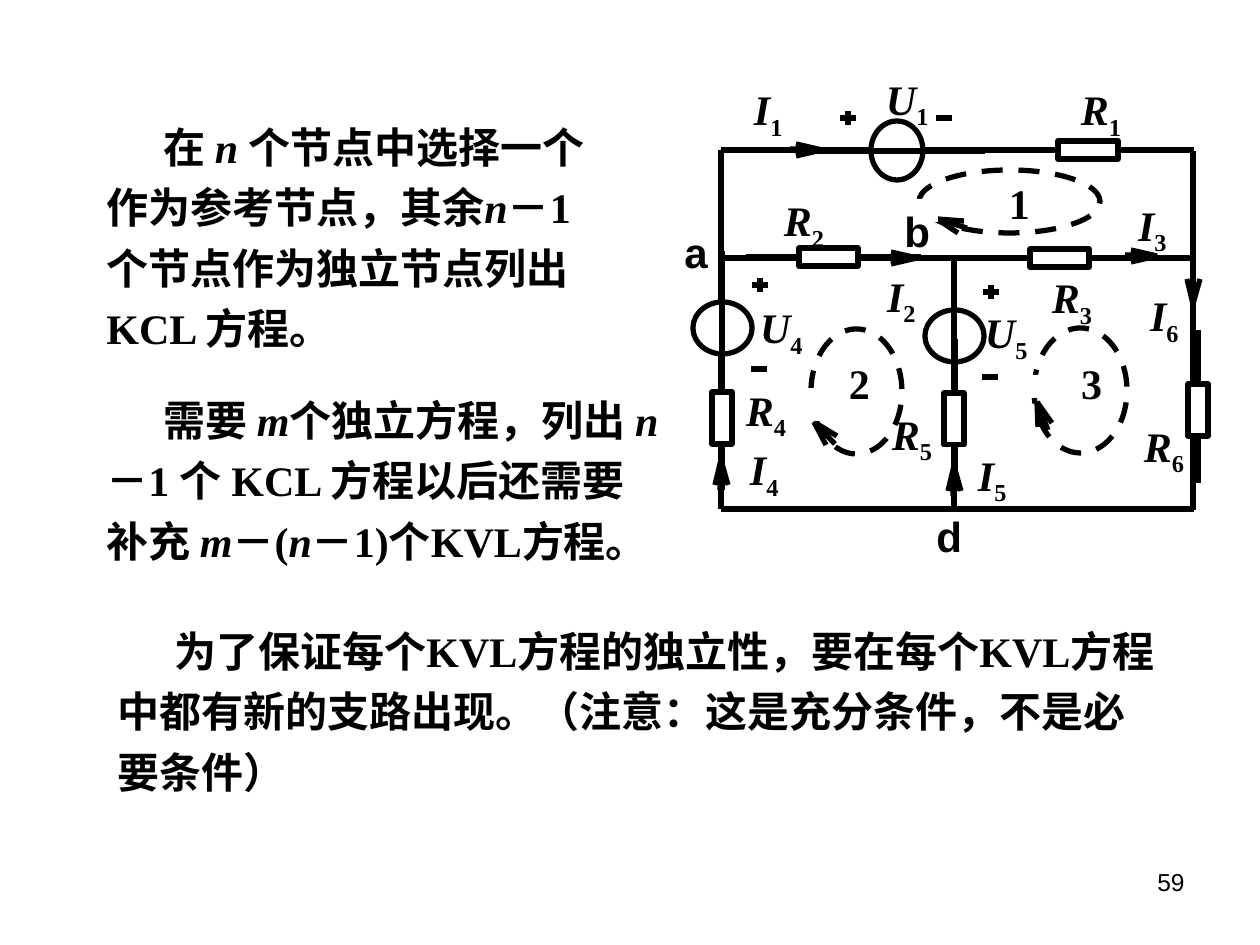
from dataclasses import dataclass

from lxml.etree import SubElement
from pptx import Presentation
from pptx.dml.color import RGBColor
from pptx.enum.dml import MSO_LINE
from pptx.enum.shapes import MSO_CONNECTOR, MSO_SHAPE
from pptx.enum.text import MSO_AUTO_SIZE, PP_ALIGN
from pptx.oxml.ns import qn
from pptx.util import Emu, Pt

EMU_PER_PX = 914400 / 126


def px(length):
    return Emu(round(length * EMU_PER_PX))


@dataclass(frozen=True)
class Theme:
    ink: RGBColor = RGBColor(0, 0, 0)
    paper: RGBColor = RGBColor(255, 255, 255)
    serif: str = "Times New Roman"
    sans: str = "Arial"
    text_size: int = 24
    number_size: int = 14
    stroke: int = 3


class CircuitSlide:
    def __init__(self, slide, theme):
        self.shapes = slide.shapes
        self.theme = theme

    def _stroke(self, line):
        line.color.rgb = self.theme.ink
        line.width = Pt(self.theme.stroke)

    def _add_run(self, paragraph, wording, subscript=False, **changes):
        run = paragraph.add_run()
        run.text = wording
        style = {"name": self.theme.serif, "size": Pt(self.theme.text_size),
                 "bold": True, "italic": False, **changes}
        for key, value in style.items():
            setattr(run.font, key, value)
        run.font.color.rgb = self.theme.ink
        if subscript:
            run.font._element.set("baseline", "-25000")

    def _paragraph(self, box, align=None, tight=False):
        """Add a text box and return its first paragraph; tight drops the insets."""
        frame = self.shapes.add_textbox(*map(px, box)).text_frame
        frame.word_wrap = True
        if tight:
            for side in ("left", "top", "right", "bottom"):
                setattr(frame, f"margin_{side}", 0)
        else:
            frame.auto_size = MSO_AUTO_SIZE.SHAPE_TO_FIT_TEXT
        paragraph = frame.paragraphs[0]
        paragraph.alignment = align
        return paragraph

    def prose(self, box, *pieces):
        """Add an indented paragraph whose pieces alternate upright and italic."""
        paragraph = self._paragraph(box)
        paragraph.line_spacing = 1.2
        paragraph._p.get_or_add_pPr().set("indent", str(px(57)))
        for index, piece in enumerate(pieces):
            self._add_run(paragraph, piece, italic=index % 2 == 1)

    def quantity(self, symbol, subscript, box):
        paragraph = self._paragraph(box, PP_ALIGN.JUSTIFY, tight=True)
        self._add_run(paragraph, symbol, italic=True)
        self._add_run(paragraph, subscript, subscript=True)

    def loop_number(self, number, box):
        self._add_run(self._paragraph(box, PP_ALIGN.JUSTIFY, tight=True), number)

    def node(self, name, box):
        self._add_run(self._paragraph(box), name, name=self.theme.sans)

    def page_number(self, number, box):
        self._add_run(self._paragraph(box, PP_ALIGN.RIGHT), number, bold=False,
                      name=self.theme.sans, size=Pt(self.theme.number_size))

    def wire(self, x1, y1, x2, y2):
        line = self.shapes.add_connector(MSO_CONNECTOR.STRAIGHT, *map(px, (x1, y1, x2, y2)))
        self._stroke(line.line)
        SubElement(line._element.spPr, qn("a:effectLst"))

    def _outline(self, kind, box, filled=True):
        shape = self.shapes.add_shape(kind, *map(px, box))
        shape.shadow.inherit = False
        if filled:
            shape.fill.solid()
            shape.fill.fore_color.rgb = self.theme.paper
        else:
            shape.fill.background()
        self._stroke(shape.line)
        return shape

    def resistor(self, box):
        self._outline(MSO_SHAPE.RECTANGLE, box)

    def source(self, box):
        self._outline(MSO_SHAPE.OVAL, box)

    def loop(self, box):
        self._outline(MSO_SHAPE.OVAL, box, filled=False).line.dash_style = MSO_LINE.DASH

    def loop_gap(self, box):
        """Blank out a stretch of a dashed loop so that it reads as open."""
        self._outline(MSO_SHAPE.RECTANGLE, box).line.fill.background()

    def polarity(self, plus, minus):
        for x, y in (plus, minus):
            self.wire(x - 8, y, x + 8, y)
        x, y = plus
        self.wire(x, y - 7, x, y + 7)

    def arrow(self, tip, barbs):
        x, y = tip
        for dx, dy in barbs:
            self.wire(x, y, x + dx, y + dy)


RIGHT = [(-26, -6), (-26, 6), (-32, -1)]
UP = [(-6, 25), (7, 25), (-1, 30)]
DOWN = [(-6, -25), (7, -25), (0, -30)]

WIRES = [
    (721, 150, 1194, 150), (721, 150, 721, 509), (1193, 151, 1193, 510),
    (721, 509, 1194, 509), (721, 258, 1194, 258), (954, 257, 954, 509),
    (968, 258, 1142, 258), (921, 257, 746, 257), (1181, 150, 1005, 150),
    (1198, 330, 1198, 483),
]
SOURCES = [(871, 121, 52, 59), (925, 310, 59, 52), (693, 302, 59, 52)]
SOURCE_WIRES = [
    (809, 151, 985, 151), (954, 258, 954, 412), (722, 251, 722, 404),
    (955, 339, 955, 491), (722, 338, 722, 490),
]
POLARITIES = [((848, 118), (944, 118)), ((991, 292), (990, 377)), ((760, 285), (759, 369))]
RESISTORS = [
    (1058, 141, 60, 18), (799, 248, 59, 18), (1030, 249, 59, 18),
    (712, 392, 20, 52), (944, 393, 20, 52), (1188, 384, 20, 52),
]
CURRENT_ARROWS = [
    (RIGHT, [(822, 150), (917, 258), (1157, 256)]),
    (UP, [(721, 460), (954, 466)]),
    (DOWN, [(1193, 304)]),
]
QUANTITIES = [
    ("U", "1", (886, 73, 48, 32)), ("U", "4", (760, 302, 69, 64)),
    ("U", "5", (985, 307, 83, 74)),
    ("R", "1", (1081, 84, 74, 74)), ("R", "2", (784, 195, 76, 74)),
    ("R", "3", (1052, 272, 62, 74)), ("R", "4", (746, 384, 50, 67)),
    ("R", "5", (892, 408, 76, 67)), ("R", "6", (1144, 420, 53, 67)),
    ("I", "1", (754, 84, 50, 35)), ("I", "2", (887, 270, 67, 67)),
    ("I", "3", (1138, 199, 69, 67)), ("I", "4", (750, 444, 78, 67)),
    ("I", "5", (978, 449, 78, 67)), ("I", "6", (1150, 290, 57, 40)),
]
# number, number box, loop, arrow tip, arrow barbs, gap
LOOPS = [
    ("1", (1009, 178, 59, 74), (919, 170, 181, 63),
     (937, 219), [(27, 2), (21, 14), (30, 9)], (890, 199, 48, 23)),
    ("2", (849, 358, 50, 60), (811, 329, 91, 125),
     (814, 422), [(23, 14), (12, 23), (21, 22)], (796, 388, 32, 33)),
    ("3", (1081, 358, 59, 74), (1034, 328, 93, 125),
     (1037, 402), [(15, 21), (1, 25), (11, 28)], (1024, 375, 34, 23)),
]
NODES = [("a", (672, 220, 84, 63)), ("d", (924, 504, 63, 63)), ("b", (892, 199, 63, 63))]


def draw_circuit(page):
    for ends in WIRES:
        page.wire(*ends)
    for box in SOURCES:
        page.source(box)
    for ends in SOURCE_WIRES:
        page.wire(*ends)
    for plus, minus in POLARITIES:
        page.polarity(plus, minus)
    for box in RESISTORS:
        page.resistor(box)
    for barbs, tips in CURRENT_ARROWS:
        for tip in tips:
            page.arrow(tip, barbs)
    for symbol, subscript, box in QUANTITIES:
        page.quantity(symbol, subscript, box)
    for number, number_box, loop_box, tip, barbs, gap in LOOPS:
        page.loop(loop_box)
        page.loop_number(number, number_box)
        page.arrow(tip, barbs)
        page.loop_gap(gap)
    for name, box in NODES:
        page.node(name, box)


def main():
    deck = Presentation()
    deck.slide_width, deck.slide_height = px(1260), px(945)
    page = CircuitSlide(deck.slides.add_slide(deck.slide_layouts[6]), Theme())
    page.page_number("59", (903, 861, 294, 66))
    page.prose((94, 105, 536, 255), "在 ", "n ", "个节点中选择一个作为参考节点，其余", "n",
               "－1 个节点作为独立节点列出 KCL 方程。")
    page.prose((94, 378, 577, 194), "需要 ", "m", "个独立方程，列出 ", "n",
               "－1 个 KCL 方程以后还需要补充 ", "m", "－(", "n", "－1)个KVL方程。")
    draw_circuit(page)
    page.prose((105, 609, 1071, 194),
               "为了保证每个KVL方程的独立性，要在每个KVL方程中都有新的支路出现。"
               "（注意：这是充分条件，不是必要条件）")
    deck.save("out.pptx")


if __name__ == "__main__":
    main()
